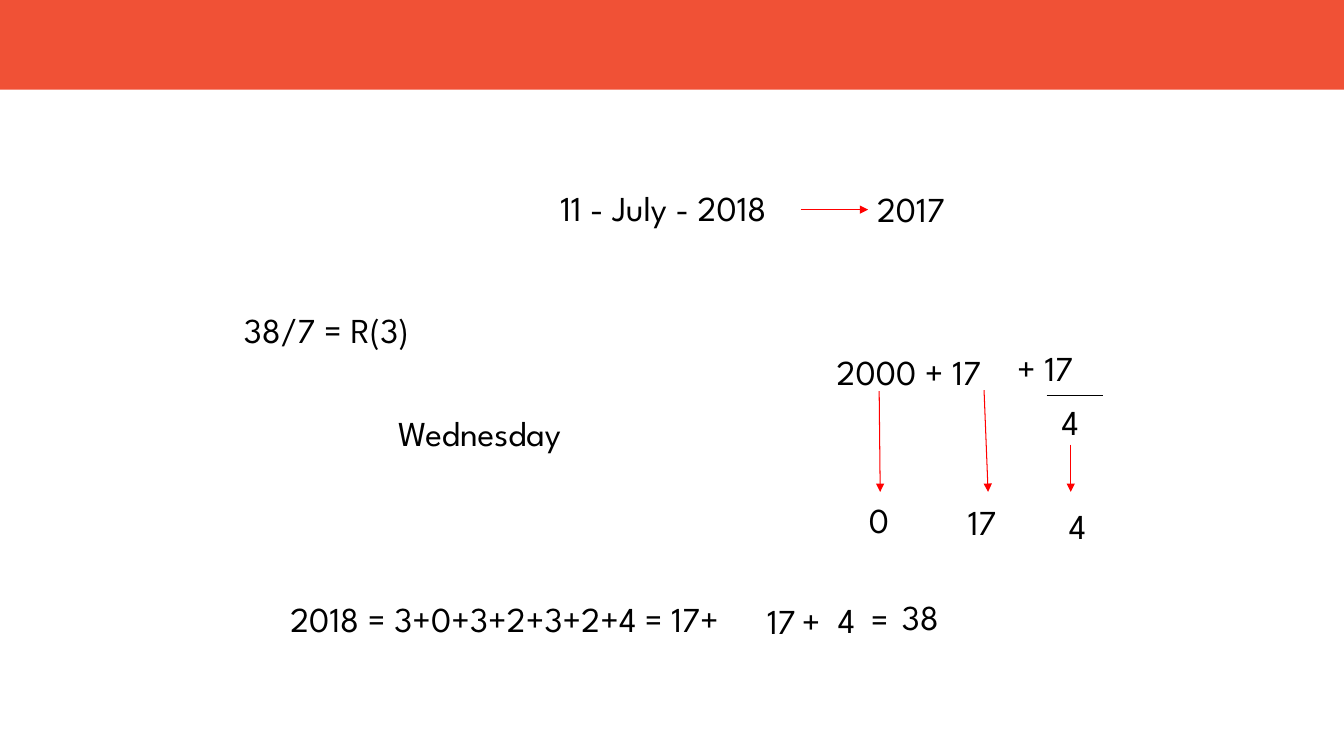
from dataclasses import dataclass

from lxml import etree
from pptx import Presentation
from pptx import util as u
from pptx.dml.color import RGBColor
from pptx.enum import shapes, text
from pptx.oxml import ns


@dataclass(frozen=True)
class Theme:
    font: str = "League Spartan"
    size: float = 25
    line_width: float = 0.75
    ink: str = "000000"
    arrow: str = "FF0000"
    band: str = "F05136"


@dataclass(frozen=True)
class Term:
    words: str
    left: float
    top: float
    width: float
    height: float = 0.52
    centred: bool = False
    wrap: bool = True


@dataclass(frozen=True)
class Stroke:
    start: tuple[float, float]
    end: tuple[float, float]
    is_arrow: bool = True


THEME = Theme()
SLIDE_WIDTH, SLIDE_HEIGHT = 13.33, 7.5
BAND_HEIGHT = 0.89
ARROW_END = 4.88

DATE = Term("11 - July - 2018", 2.27, 1.85, 8.62, 3.57, centred=True)


def centred_term(words: str, left: float, top: float, width: float, wrap: bool = False) -> Term:
    return Term(words, left, top, width, 0.49, centred=True, wrap=wrap)


TERMS = [
    Term("2017", 8.6, 1.81, 1.48),
    Term("38/7 = R(3)", 2.32, 3.01, 2, wrap=False),
    centred_term("Wednesday", 3.05, 4.08, 3.41, wrap=True),
    Term("2000 + 17", 8.2, 3.43, 2.37),
    Term("+ 17", 9.99, 3.39, 2.37),
    centred_term("4", 10.39, 3.97, 0.45, wrap=True),
    Term("0", 8.52, 4.9, 0.67),
    Term("17", 9.5, 4.92, 0.62, wrap=False),
    centred_term("4", 10.48, 5, 0.41),
    centred_term("2018 = 3+0+3+2+3+2+4 = 17+", 1.31, 5.93, 7.39, wrap=True),
    centred_term("17", 7.44, 5.95, 0.62),
    centred_term("+", 7.84, 5.95, 0.41),
    centred_term("4", 8.19, 5.94, 0.41),
    centred_term("=", 8.52, 5.93, 0.41),
    centred_term("38", 8.82, 5.91, 0.62),
]

STROKES = [
    Stroke((7.94, 2.08), (8.61, 2.08)),
    Stroke((10.38, 3.92), (10.94, 3.92), is_arrow=False),
    Stroke((8.72, 3.88), (8.73, ARROW_END)),
    Stroke((9.76, 3.87), (9.8, ARROW_END)),
    Stroke((10.62, 4.41), (10.62, ARROW_END)),
]


def write(frame, words: str, *, centred: bool = False, wrap: bool = True,
          size: float = THEME.size, color: str = THEME.ink) -> None:
    """Fill a text frame with one formatted paragraph."""
    frame.text = words
    frame.word_wrap = wrap
    frame.auto_size = text.MSO_AUTO_SIZE.NONE
    frame.vertical_anchor = text.MSO_ANCHOR.TOP
    paragraph = frame.paragraphs[0]
    paragraph.alignment = text.PP_ALIGN.CENTER if centred else text.PP_ALIGN.LEFT
    paragraph.line_spacing = 0.9 if centred else 1.0
    font = paragraph.runs[0].font
    font.name, font.size = THEME.font, u.Pt(size)
    font.color.rgb = RGBColor.from_string(color)


def draw_band(slide) -> None:
    band = slide.shapes.add_shape(shapes.MSO_SHAPE.RECTANGLE, 0, 0,
                                  u.Inches(SLIDE_WIDTH), u.Inches(BAND_HEIGHT))
    band.shadow.inherit = False
    band.fill.solid()
    band.fill.fore_color.rgb = RGBColor.from_string(THEME.band)
    band.line.fill.background()


def draw_date(slide, date: Term) -> None:
    title = slide.shapes.title
    title.left, title.top = u.Inches(date.left), u.Inches(date.top)
    title.width, title.height = u.Inches(date.width), u.Inches(date.height)
    write(title.text_frame, date.words, centred=date.centred)


def draw_term(slide, term: Term) -> None:
    box = slide.shapes.add_textbox(u.Inches(term.left), u.Inches(term.top),
                                   u.Inches(term.width), u.Inches(term.height))
    write(box.text_frame, term.words, centred=term.centred, wrap=term.wrap)


def draw_stroke(slide, stroke: Stroke) -> None:
    ends = [u.Inches(value) for value in (*stroke.start, *stroke.end)]
    connector = slide.shapes.add_connector(shapes.MSO_CONNECTOR.STRAIGHT, *ends)
    color = THEME.arrow if stroke.is_arrow else THEME.ink
    connector.line.color.rgb = RGBColor.from_string(color)
    connector.line.width = u.Pt(THEME.line_width)
    properties = connector.element.spPr
    if stroke.is_arrow:
        outline = properties.find(ns.qn("a:ln"))
        etree.SubElement(outline, ns.qn("a:tailEnd"), type="triangle")
    etree.SubElement(properties, ns.qn("a:effectLst"))


def main() -> None:
    deck = Presentation()
    deck.slide_width, deck.slide_height = u.Inches(SLIDE_WIDTH), u.Inches(SLIDE_HEIGHT)
    slide = deck.slides.add_slide(deck.slide_layouts.get_by_name("Title Only"))
    draw_band(slide)
    draw_date(slide, DATE)
    for term in TERMS:
        draw_term(slide, term)
    for stroke in STROKES:
        draw_stroke(slide, stroke)
    deck.save("out.pptx")


if __name__ == "__main__":
    main()
